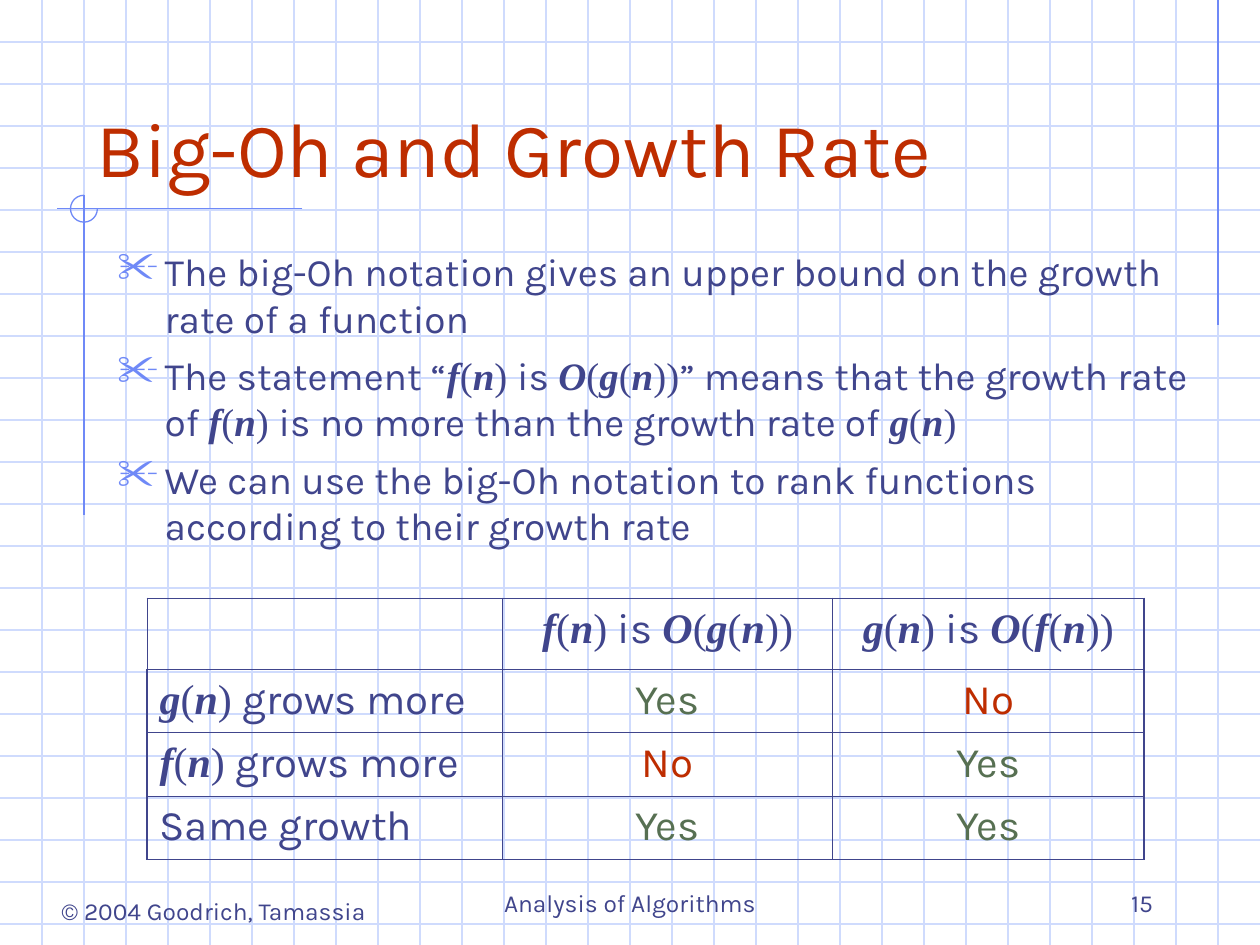
import itertools

import pptx
import pptx.dml.color
import pptx.enum.shapes
import pptx.enum.text
import pptx.oxml.xmlchemy
import pptx.util

THEME = {
    "grid": "CFDBFD", "accent": "6F89F7", "ink": "40458C", "red": "BE2D00", "green": "577052",
    "sans": "Karla", "math": "Times New Roman",
    "title": 44, "body": 22.2, "table": 24, "footer": 14,
    "rule": 0.75, "outer": 1.08, "inner": 0.45,
}
ALIGN = pptx.enum.text.PP_ALIGN
ANCHOR = pptx.enum.text.MSO_ANCHOR
new_element = pptx.oxml.xmlchemy.OxmlElement
rgb = pptx.dml.color.RGBColor.from_string

deck = pptx.Presentation()
deck.slide_width = pptx.util.Inches(10)
deck.slide_height = pptx.util.Inches(7.5)
page = deck.slides.add_slide(deck.slide_layouts[6])

# All lengths below are counted in squares of the graph paper
COLUMNS, ROWS = 30, 22.5
unit = deck.slide_width // COLUMNS


def add_rule(left, top, right, bottom, colour):
    ends = [round(length * unit) for length in (left, top, right, bottom)]
    rule = page.shapes.add_connector(pptx.enum.shapes.MSO_CONNECTOR.STRAIGHT, *ends)
    rule.line.color.rgb = rgb(THEME[colour])
    rule.line.width = pptx.util.Pt(THEME["rule"])
    rule._element.spPr.append(new_element("a:effectLst"))


def add_spans(para, text, size, colour):
    """Parts between $ signs are formulas, with bold italic letters."""
    for index, part in enumerate(text.split("$")):
        is_math = index % 2 == 1
        for is_letter, chars in itertools.groupby(part, lambda char: is_math and char.isalpha()):
            span = para.add_run()
            span.text = "".join(chars)
            span.font.name = THEME["math" if is_math else "sans"]
            span.font.size = pptx.util.Pt(THEME[size])
            span.font.color.rgb = rgb(THEME[colour])
            span.font.bold = span.font.italic = is_letter


# Graph paper
for row in range(1, int(ROWS) + 1):
    add_rule(0, row, COLUMNS, row, "grid")
for column in range(1, COLUMNS):
    add_rule(column, 0, column, ROWS, "grid")

# Accent rules and the open circle where they cross
add_rule(29, 0, 29, 7.75, "accent")
add_rule(7.2, 4.97, 1.35, 4.97, "accent")
add_rule(2, 4.65, 2, 12.27, "accent")
circle = page.shapes.add_shape(
    pptx.enum.shapes.MSO_SHAPE.ARC,
    *[round(length * unit) for length in (1.68, 4.65, 0.64, 0.64)])
circle.adjustments[0] = 0
circle.adjustments[1] = 162  # 270 degrees, in 60000ths of a degree / 100000
circle.shadow.inherit = False
circle.fill.background()
circle.line.color.rgb = rgb(THEME["accent"])
circle.line.width = pptx.util.Pt(THEME["rule"])

# Text boxes: place, paragraphs, size, colour, alignment, anchor, wrap
points = [
    "The big-Oh notation gives an upper bound on the growth rate of a function",
    "The statement “$f(n) $is $O(g(n))$” means that the growth rate of $f(n) $"
    "is no more than the growth rate of $g(n)$",
    "We can use the big-Oh notation to rank functions according to their growth rate",
]
texts = [
    ((1.02, 21.18, 8.13, 1.02), ["© 2004 Goodrich, Tamassia"],
     "footer", "ink", ALIGN.CENTER, ANCHOR.TOP, False),
    ((10.25, 20.5, 9.5, 1.5), ["Analysis of Algorithms"],
     "footer", "ink", ALIGN.CENTER, ANCHOR.BOTTOM, True),
    ((21.5, 20.5, 6.25, 1.5), ["15"], "footer", "ink", ALIGN.RIGHT, ANCHOR.BOTTOM, True),
    ((2, 1, 25.5, 3.75), ["Big-Oh and Growth Rate"],
     "title", "red", ALIGN.LEFT, ANCHOR.BOTTOM, True),
    ((2.5, 5.75, 26.25, 8.5), points, "body", "ink", ALIGN.LEFT, ANCHOR.TOP, True),
]
for place, lines, size, colour, align, anchor, wrap in texts:
    box = page.shapes.add_textbox(*[round(length * unit) for length in place])
    frame = box.text_frame
    frame.word_wrap = wrap
    frame.vertical_anchor = anchor
    for index, line in enumerate(lines):
        para = frame.add_paragraph() if index else frame.paragraphs[0]
        para.alignment = align
        if index:
            para.space_before = pptx.util.Pt(6)
        if size == "body":
            # Scissors bullet with a hanging indent
            properties = para._p.get_or_add_pPr()
            indent = round(1.125 * unit)
            properties.set("marL", str(indent))
            properties.set("indent", str(-indent))
            bullet_colour = new_element("a:buClr")
            swatch = new_element("a:srgbClr")
            swatch.set("val", THEME["accent"])
            bullet_colour.append(swatch)
            bullet_size = new_element("a:buSzPct")
            bullet_size.set("val", "110000")
            bullet = new_element("a:buChar")
            bullet.set("char", "✂")
            properties.extend([bullet_colour, bullet_size, bullet])
        add_spans(para, line, size, colour)

# Table of growth rates
cells = [
    ["", "$f(n) $is $O(g(n))$", "$g(n) $is $O(f(n))$"],
    ["$g(n) $grows more", "Yes", "No"],
    ["$f(n) $grows more", "No", "Yes"],
    ["Same growth", "Yes", "Yes"],
]
widths = [8.46, 7.87, 7.41]
heights = [1.69, 1.51, 1.51, 1.51]
place = (3.5, 14.25, sum(widths), sum(heights))
table = page.shapes.add_table(
    len(heights), len(widths), *[round(length * unit) for length in place]).table
table.first_row = table.horz_banding = False
for column, width in zip(table.columns, widths):
    column.width = round(width * unit)
for row, height in zip(table.rows, heights):
    row.height = round(height * unit)

answer_colours = {"Yes": "green", "No": "red"}
for r, texts_in_row in enumerate(cells):
    for c, text in enumerate(texts_in_row):
        cell = table.cell(r, c)
        cell.fill.background()
        para = cell.text_frame.paragraphs[0]
        para.alignment = ALIGN.CENTER if c else ALIGN.LEFT
        add_spans(para, text, "table", answer_colours.get(text, "ink"))
        # Thicker lines around the outside, except left of the empty corner
        is_outer = {"L": c == 0 and r > 0, "R": c == len(widths) - 1,
                    "T": r == 0, "B": r == len(heights) - 1}
        for index, (side, outer) in enumerate(is_outer.items()):
            border = new_element("a:ln" + side)
            border.set("w", str(pptx.util.Pt(THEME["outer" if outer else "inner"])))
            fill = new_element("a:solidFill")
            swatch = new_element("a:srgbClr")
            swatch.set("val", THEME["ink"])
            fill.append(swatch)
            border.append(fill)
            cell._tc.get_or_add_tcPr().insert(index, border)

deck.save("out.pptx")
